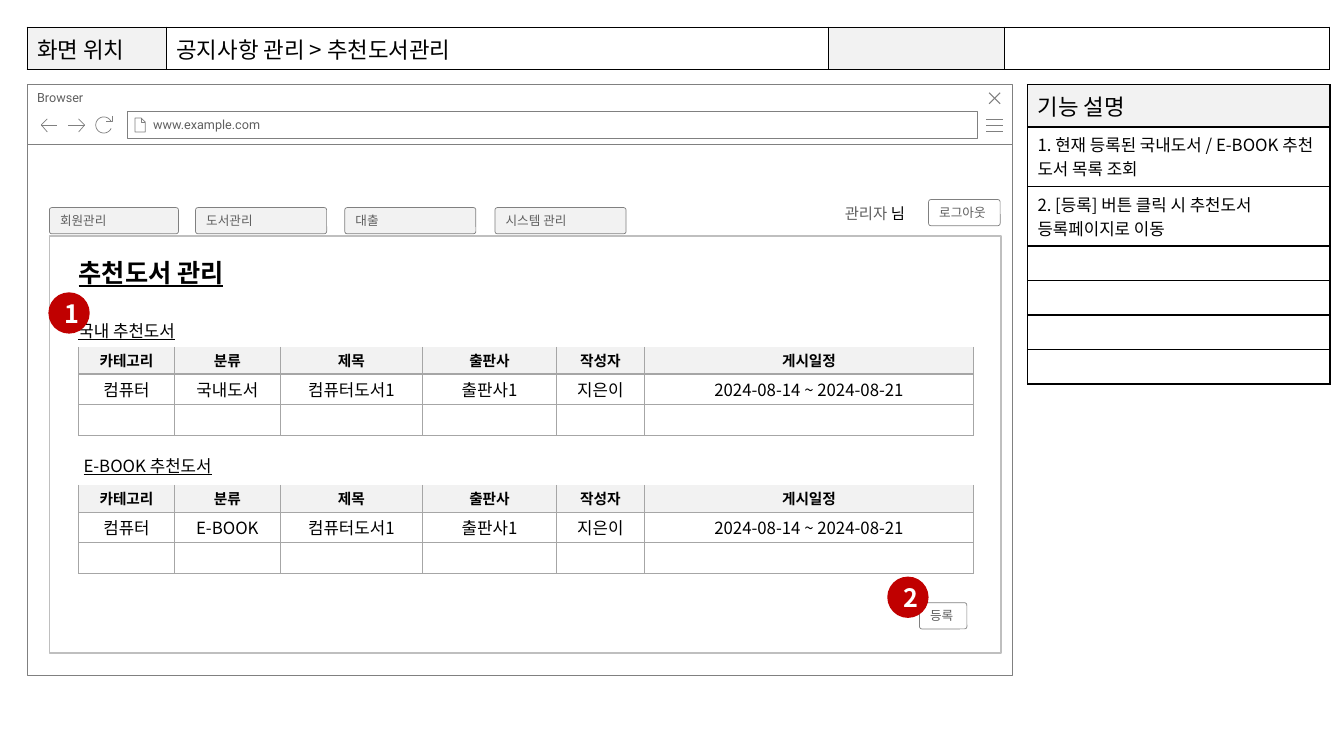
from math import cos, radians, sin

from lxml.etree import SubElement
from pptx import Presentation
from pptx.dml.color import RGBColor
from pptx.enum.shapes import MSO_SHAPE
from pptx.enum.text import MSO_ANCHOR, PP_ALIGN
from pptx.oxml.ns import qn
from pptx.util import Inches, Pt

WHITE = RGBColor(0xFF, 0xFF, 0xFF)
BLACK = RGBColor(0, 0, 0)
LIGHT = RGBColor(0xF2, 0xF2, 0xF2)
SILVER = RGBColor(0xBF, 0xBF, 0xBF)
GRID = RGBColor(0xA6, 0xA6, 0xA6)
GRAY = RGBColor(0x80, 0x80, 0x80)
LABEL = RGBColor(0x5F, 0x5F, 0x5F)
RED = RGBColor(0xC0, 0, 0)
KOREAN = "Noto Sans CJK KR"
LATIN = "Roboto"


def write(frame, text, size, color=BLACK, name=KOREAN, bold=False,
          underline=False, align=PP_ALIGN.LEFT):
    paragraph = frame.paragraphs[0]
    paragraph.alignment = align
    font = paragraph.font
    font.size, font.bold, font.underline = Pt(size), bold, underline
    font.color.rgb = color
    font.name = name
    defaults = paragraph._p.get_or_add_pPr().find(qn("a:defRPr"))
    SubElement(defaults, qn("a:ea"), typeface=KOREAN)
    if text:
        paragraph.add_run().text = text
    else:
        SubElement(paragraph._p, qn("a:endParaRPr"), sz=str(size * 100))


def add_grid(left, top, widths, heights, line_color, open_top=False):
    """Add a plain table whose cells have 1 pt borders."""
    frame = slide.shapes.add_table(
        len(heights), len(widths), Inches(left), Inches(top),
        Inches(sum(widths)), Inches(sum(heights)))
    table = frame.table
    table.first_row = table.horz_banding = False
    for column, width in zip(table.columns, widths):
        column.width = Inches(width)
    for index, (row, height) in enumerate(zip(table.rows, heights)):
        row.height = Inches(height)
        for cell in row.cells:
            properties = cell._tc.get_or_add_tcPr()
            for side in ("lnL", "lnR", "lnT", "lnB"):
                line = SubElement(properties, qn("a:" + side), w="12700")
                if open_top and index == 0 and side == "lnT":
                    SubElement(line, qn("a:noFill"))
                else:
                    fill = SubElement(line, qn("a:solidFill"))
                    SubElement(fill, qn("a:srgbClr"), val=str(line_color))
            cell.fill.solid()
            cell.fill.fore_color.rgb = WHITE
    return table


presentation = Presentation()
presentation.slide_width = Inches(13.33)
presentation.slide_height = Inches(7.5)
slide = presentation.slides.add_slide(presentation.slide_layouts[5])
shapes = slide.shapes

# Browser window, tabs and buttons
RECT, ROUND = MSO_SHAPE.RECTANGLE, MSO_SHAPE.ROUNDED_RECTANGLE
boxes = [
    (RECT, 0.27, 1.43, 9.77, 5.27, WHITE, GRAY, 0.5, ""),
    (RECT, 0.27, 0.84, 9.77, 0.59, WHITE, GRAY, 0.5, "Browser"),
    (RECT, 1.26, 1.11, 8.43, 0.26, WHITE, GRAY, 0.5, "www.example.com"),
    (RECT, 0.49, 2.34, 9.44, 4.14, WHITE, SILVER, 1, ""),
    (ROUND, 0.49, 2.06, 1.28, 0.26, LIGHT, GRAY, 0.5, "회원관리"),
    (ROUND, 1.94, 2.06, 1.3, 0.26, LIGHT, GRAY, 0.5, "도서관리"),
    (ROUND, 3.42, 2.06, 1.3, 0.26, LIGHT, GRAY, 0.5, "대출"),
    (ROUND, 4.91, 2.06, 1.3, 0.26, LIGHT, GRAY, 0.5, "시스템 관리"),
    (ROUND, 9.21, 1.98, 0.71, 0.26, WHITE, GRAY, 0.5, "로그아웃"),
    (ROUND, 9.12, 5.98, 0.47, 0.26, WHITE, GRAY, 0.5, "등록"),
]
for kind, left, top, width, height, fill, line, weight, text in boxes:
    box = shapes.add_shape(kind, Inches(left), Inches(top), Inches(width), Inches(height))
    box.shadow.inherit = False
    box.fill.solid()
    box.fill.fore_color.rgb = fill
    box.line.color.rgb = line
    box.line.width = Pt(weight)
    if kind == ROUND:
        box.adjustments[0] = 0.09
    if text:
        frame = box.text_frame
        frame.word_wrap = width > 1
        frame.vertical_anchor = MSO_ANCHOR.TOP if text == "Browser" else MSO_ANCHOR.MIDDLE
        if text == "www.example.com":
            frame.margin_left = Inches(0.26)
        write(frame, text, 9, LABEL, LATIN)

# Browser icons, each a list of strokes
refresh_arc = [(1.03 + 0.08 * cos(radians(angle)), 1.24 + 0.08 * sin(radians(angle)))
               for angle in range(25, 336, 10)]
icons = [
    (0.5, [[(9.78, y), (9.95, y)] for y in (1.3, 1.24, 1.18)]),
    (0.75, [[(9.92, 0.92), (9.81, 1.03)], [(9.81, 0.92), (9.92, 1.03)]]),
    (0.5, [[(1.4, 1.17), (1.4, 1.21), (1.44, 1.21)],
           [(1.34, 1.17), (1.34, 1.31), (1.44, 1.31), (1.44, 1.21), (1.4, 1.17), (1.34, 1.17)]]),
    (0.5, [[(0.47, 1.31), (0.41, 1.24), (0.47, 1.18)], [(0.41, 1.24), (0.57, 1.24)]]),
    (0.5, [[(0.78, 1.18), (0.84, 1.24), (0.78, 1.31)], [(0.84, 1.24), (0.67, 1.24)]]),
    (0.5, [[(1.11, 1.15), (1.11, 1.2), (1.05, 1.2)], refresh_arc]),
]
for weight, strokes in icons:
    builder = None
    for stroke in strokes:
        points = [(Inches(x), Inches(y)) for x, y in stroke]
        if builder is None:
            builder = shapes.build_freeform(*points[0])
        else:
            builder.move_to(*points[0])
        builder.add_line_segments(points[1:], close=False)
    icon = builder.convert_to_shape()
    icon.shadow.inherit = False
    icon.fill.background()
    icon.line.color.rgb = GRAY
    icon.line.width = Pt(weight)

# Function notes and screen location
notes = add_grid(10.19, 0.84, [3], [0.42, 0.59, 0.59] + [0.34] * 4, BLACK)
note_texts = ["기능 설명", "1. 현재 등록된 국내도서 / E-BOOK 추천 도서 목록 조회",
              "2. [등록] 버튼 클릭 시 추천도서 등록페이지로 이동", "", "", "", ""]
for index, text in enumerate(note_texts):
    write(notes.cell(index, 0).text_frame, text, 12 if index else 16)
notes.cell(0, 0).fill.fore_color.rgb = LIGHT

location = add_grid(0.27, 0.27, [1.38, 6.57, 1.74, 3.23], [0.42], BLACK)
for index, text in enumerate(["화면 위치", "공지사항 관리 > 추천도서관리", "", ""]):
    cell = location.cell(0, index)
    write(cell.text_frame, text, 16)
    if index in (0, 2):
        cell.fill.fore_color.rgb = LIGHT

# Book tables
for top, category in ((3.44, "국내도서"), (4.81, "E-BOOK")):
    books = add_grid(0.78, top, [0.95, 1.05, 1.41, 1.33, 0.87, 3.27],
                     [0.27, 0.3, 0.31], GRID, open_top=True)
    rows = [
        ["카테고리", "분류", "제목", "출판사", "작성자", "게시일정"],
        ["컴퓨터", category, "컴퓨터도서1", "출판사1", "지은이", "2024-08-14 ~ 2024-08-21"],
        [""] * 6,
    ]
    for row_index, row in enumerate(rows):
        for column_index, text in enumerate(row):
            cell = books.cell(row_index, column_index)
            cell.vertical_anchor = MSO_ANCHOR.MIDDLE
            cell.margin_top = cell.margin_bottom = Inches(0.03)
            header = row_index == 0
            write(cell.text_frame, text, 10.5 if header else 12, bold=header,
                  align=PP_ALIGN.CENTER)
            if header:
                cell.fill.fore_color.rgb = LIGHT

# Title, moved in front of the browser window
title = shapes.title
shapes._spTree.append(title._element)
title.left, title.top, title.width, title.height = map(Inches, (0.68, 2.5, 1.81, 0.4))
title.text_frame.word_wrap = False
title.text_frame.vertical_anchor = MSO_ANCHOR.TOP
write(title.text_frame, "추천도서 관리", 18, bold=True, underline=True)

for left, top, width, text in ((0.68, 3.13, 1.27, "국내 추천도서"),
                               (0.73, 4.47, 1.55, "E-BOOK 추천도서")):
    heading = shapes.add_textbox(Inches(left), Inches(top), Inches(width), Inches(0.3))
    heading.text_frame.word_wrap = False
    write(heading.text_frame, text, 12, underline=True)

user = shapes.add_textbox(Inches(8.28), Inches(1.98), Inches(0.99), Inches(0.29))
user.text_frame.word_wrap = True
write(user.text_frame, "관리자 ", 11, LABEL, LATIN)
suffix = user.text_frame.paragraphs[0].add_run()
suffix.text = "님"
suffix.font.name = KOREAN
suffix.font.color.rgb = BLACK

# Numbered badges
for left, top, number in ((0.48, 2.9, "1"), (8.8, 5.72, "2")):
    badge = shapes.add_shape(MSO_SHAPE.OVAL, Inches(left), Inches(top), Inches(0.41), Inches(0.41))
    badge.shadow.inherit = False
    badge.fill.solid()
    badge.fill.fore_color.rgb = RED
    badge.line.fill.background()
    badge.text_frame.vertical_anchor = MSO_ANCHOR.MIDDLE
    write(badge.text_frame, number, 18, WHITE, bold=True, align=PP_ALIGN.CENTER)

presentation.save("out.pptx")
